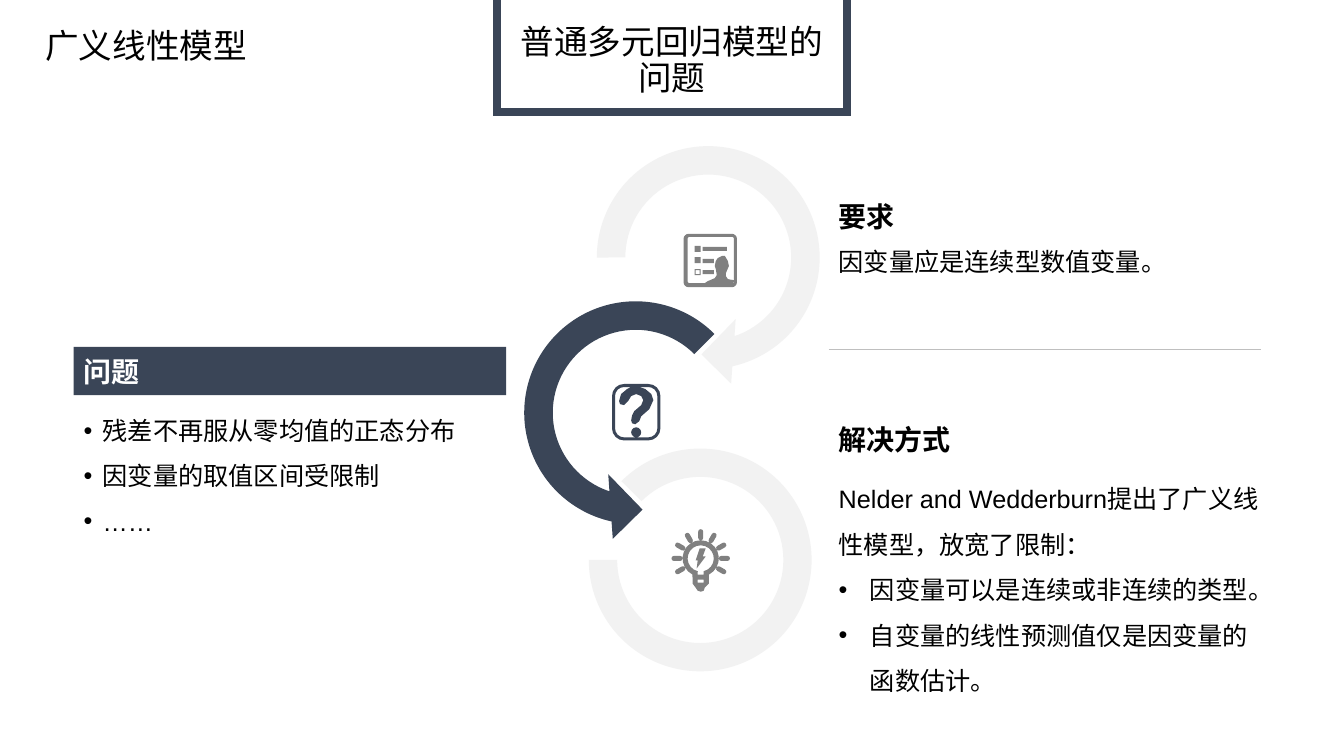
from dataclasses import dataclass
from math import cos, radians, sin
from typing import Any, Optional

from lxml.etree import SubElement
from pptx import Presentation
from pptx.dml.color import RGBColor
from pptx.enum.shapes import MSO_CONNECTOR, MSO_SHAPE
from pptx.enum.text import MSO_ANCHOR, PP_ALIGN
from pptx.oxml.ns import qn
from pptx.util import Inches, Pt

NAVY, GRAY, PALE, WHITE, BLACK, RULE = "3A4557", "808080", "F2F2F2", "FFFFFF", "000000", "BFBFBF"
CHINESE_FONT = "Noto Sans CJK SC"
HEADING_HEIGHT = 0.48
BODY_HEIGHT = 0.83
UNITS_PER_INCH = 1000

Contour = tuple[tuple[float, float], ...]


@dataclass(frozen=True)
class Line:
    text: str
    indent: float = 0
    spacing: float = 1.0


@dataclass(frozen=True)
class Section:
    left: float
    top: float
    width: float
    heading: str
    lines: tuple[Line, ...]
    banner: Optional[str] = None
    heading_color: str = BLACK


@dataclass(frozen=True)
class Title:
    text: str
    font: str
    box: tuple[float, float, float, float]


@dataclass(frozen=True)
class Part:
    kind: MSO_SHAPE
    box: tuple[float, float, float, float]
    fill: Optional[str] = None
    outline: Optional[str] = None
    weight: float = 0
    adjustments: tuple[float, ...] = ()
    mirrored: bool = False


@dataclass(frozen=True)
class Icon:
    fill: str
    contours: tuple[Contour, ...]


def arc(center_x: float, center_y: float, radius: float, start: float, end: float, steps: int) -> Contour:
    angles = (radians(start + (end - start) * step / steps) for step in range(steps + 1))
    return tuple((center_x + radius * cos(angle), center_y - radius * sin(angle)) for angle in angles)


def box_contour(left: float, top: float, width: float, height: float, radius: float = 0) -> Contour:
    near_x, far_x = left + radius, left + width - radius
    near_y, far_y = top + radius, top + height - radius
    corners = ((far_x, near_y, 90), (far_x, far_y, 0), (near_x, far_y, -90), (near_x, near_y, 180))
    return tuple(point for x, y, start in corners
                 for point in arc(x, y, radius, start, start - 90, 4)[::1 if radius else 5])


def bulb_ray(angle: int) -> Contour:
    ends = ((0.265, angle - 90), (0.205, angle + 90))
    return tuple(point for distance, start in ends for point in arc(
        6.95 + distance * cos(radians(angle)), 5.54 - distance * sin(radians(angle)),
        0.025, start, start + 180, 4))


SECTIONS = (
    Section(8.22, 1.91, 4.38, "要求", (Line("因变量应是连续型数值变量。"),)),
    Section(8.22, 4.12, 4.38, "解决方式", (
        Line("Nelder and Wedderburn提出了广义线性模型，放宽了限制：", 0, 1.5),
        Line("因变量可以是连续或非连续的类型。", 0.31, 1.5),
        Line("自变量的线性预测值仅是因变量的函数估计。", 0.31, 1.5),
    )),
    Section(0.73, 3.44, 4.29, "问题", tuple(
        Line(text, 0.19, 1.5)
        for text in ("残差不再服从零均值的正态分布", "因变量的取值区间受限制", "……")
    ), NAVY, WHITE),
)

TITLES = (
    Title("普通多元回归模型的问题", "Montserrat", (4.98, 0.33, 3.37, 0.69)),
    Title("广义线性模型", CHINESE_FONT, (0.18, 0.01, 2.54, 0.69)),
)

ARROWS = (
    Part(MSO_SHAPE.CIRCULAR_ARROW, (5.74, 1.27, 2.57, 2.57), PALE,
         adjustments=(0.11, 11.42, 45, 108, 0.125)),
    Part(MSO_SHAPE.LEFT_CIRCULAR_ARROW, (5.02, 2.81, 2.57, 2.57), NAVY,
         adjustments=(0.11, 11.42, 63, 189, 0.125)),
    Part(MSO_SHAPE.BLOCK_ARC, (5.84, 4.45, 2.21, 2.21), PALE,
         adjustments=(0, 189, 0.127), mirrored=True),
)

CARD = Icon(GRAY, (
    box_contour(6.78, 2.32, 0.53, 0.53, 0.05),
    box_contour(6.82, 2.35, 0.46, 0.46, 0.02),
    *(box_contour(6.89, top, 0.06, 0.06) for top in (2.44, 2.55, 2.67)),
    box_contour(6.9, 2.68, 0.04, 0.04),
    *(box_contour(6.97, top, width, 0.04) for top, width in ((2.45, 0.24), (2.57, 0.11), (2.68, 0.11))),
    ((6.99, 2.81), (7.02, 2.79), (7.09, 2.76), (7.11, 2.73), (7.1, 2.67), (7.09, 2.64),
     (7.1, 2.59), (7.12, 2.56), (7.16, 2.54), (7.19, 2.54), (7.22, 2.59), (7.23, 2.64),
     (7.2, 2.71), (7.2, 2.74), (7.22, 2.77), (7.28, 2.78), (7.28, 2.81)),
))

QUESTION = Icon(NAVY, (
    box_contour(6.07, 3.81, 0.48, 0.56, 0.12),
    box_contour(6.1, 3.84, 0.42, 0.5, 0.09),
    ((6.31, 3.84), (6.26, 3.84), (6.22, 3.86), (6.16, 3.91), (6.14, 3.98), (6.15, 4.01),
     (6.19, 4.02), (6.23, 3.98), (6.26, 3.93), (6.31, 3.91), (6.36, 3.93), (6.38, 3.97),
     (6.36, 4.02), (6.29, 4.08), (6.27, 4.12), (6.26, 4.17), (6.27, 4.2), (6.3, 4.21),
     (6.34, 4.18), (6.36, 4.13), (6.44, 4.06), (6.48, 3.97), (6.46, 3.91), (6.4, 3.86),
     (6.34, 3.84)),
    arc(6.31, 4.29, 0.05, 0, 360, 12),
))

BULB = Icon(GRAY, (
    (*arc(6.95, 5.54, 0.18, -63, 243, 18), (6.87, 5.79), (6.9, 5.83), (6.92, 5.86),
     (6.95, 5.87), (6.98, 5.86), (6.99, 5.83), (7.03, 5.79)),
    (*arc(6.95, 5.54, 0.13, -77, 257, 18), (6.92, 5.7), (6.98, 5.7)),
    box_contour(6.92, 5.75, 0.06, 0.03),
    ((6.94, 5.44), (7, 5.44), (6.97, 5.52), (7, 5.52), (6.91, 5.64), (6.92, 5.56), (6.9, 5.56)),
    *(bulb_ray(angle) for angle in range(-30, 211, 30)),
))

TITLE_FRAME = Part(MSO_SHAPE.RECTANGLE, (4.93, -0.6, 3.47, 1.71), None, NAVY, 5.5)


def color(value: str) -> RGBColor:
    return RGBColor.from_string(value)


def apply_format(target: Any, values: dict[str, Any]) -> None:
    for name, value in values.items():
        setattr(target, name, value)


def paint(shape: Any, fill: Optional[str], outline: Optional[str] = None, weight: float = 0) -> None:
    shape.shadow.inherit = False
    for target, value in ((shape.fill, fill), (shape.line.fill, outline)):
        if value:
            target.solid()
            target.fore_color.rgb = color(value)
        else:
            target.background()
    if outline:
        shape.line.width = Pt(weight)
        SubElement(shape.element.spPr.find(qn("a:ln")), qn("a:miter")).set("lim", "800000")


def draw_part(slide: Any, part: Part) -> Any:
    shape = slide.shapes.add_shape(part.kind, *map(Inches, part.box))
    for index, value in enumerate(part.adjustments):
        shape.adjustments[index] = value
    if part.mirrored:
        shape.element.spPr.find(qn("a:xfrm")).set("flipH", "1")
    paint(shape, part.fill, part.outline, part.weight)
    return shape


def draw_icon(slide: Any, icon: Icon) -> None:
    first, *others = [[(x * UNITS_PER_INCH, y * UNITS_PER_INCH) for x, y in contour]
                      for contour in icon.contours]
    builder = slide.shapes.build_freeform(*first[0], scale=Inches(1) / UNITS_PER_INCH)
    builder.add_line_segments(first[1:])
    for contour in others:
        builder.move_to(*contour[0])
        builder.add_line_segments(contour[1:])
    paint(builder.convert_to_shape(), icon.fill)


def write(shape: Any, lines: tuple[Line, ...], size: float, text_color: str = BLACK,
          font: str = "Arial", bold: bool = False, anchor: MSO_ANCHOR = MSO_ANCHOR.TOP,
          alignment: PP_ALIGN = PP_ALIGN.LEFT) -> None:
    frame = shape.text_frame
    apply_format(frame, {"word_wrap": True, "vertical_anchor": anchor})
    for index, line in enumerate(lines):
        paragraph = frame.add_paragraph() if index else frame.paragraphs[0]
        apply_format(paragraph, {"alignment": alignment, "line_spacing": line.spacing})
        if line.indent:
            properties = paragraph._p.get_or_add_pPr()
            properties.set("marL", str(Inches(line.indent)))
            properties.set("indent", str(-Inches(line.indent)))
            SubElement(properties, qn("a:buFont")).set("typeface", "Arial")
            SubElement(properties, qn("a:buChar")).set("char", "•")
        run = paragraph.add_run()
        run.text = line.text
        apply_format(run.font, {"name": font, "size": Pt(size), "bold": bold})
        run.font.color.rgb = color(text_color)
        SubElement(run.font._element, qn("a:ea")).set("typeface", CHINESE_FONT)


def draw_section(slide: Any, section: Section) -> None:
    box = (section.left, section.top, section.width, HEADING_HEIGHT)
    if section.banner:
        heading = draw_part(slide, Part(MSO_SHAPE.RECTANGLE, box, section.banner))
    else:
        heading = slide.shapes.add_textbox(*map(Inches, box))
    write(heading, (Line(section.heading),), 20, section.heading_color, bold=True,
          anchor=MSO_ANCHOR.MIDDLE)
    body_box = (section.left, section.top + HEADING_HEIGHT, section.width, BODY_HEIGHT)
    write(slide.shapes.add_textbox(*map(Inches, body_box)), section.lines, 18)


def draw_divider(slide: Any) -> None:
    divider = slide.shapes.add_connector(MSO_CONNECTOR.STRAIGHT, *map(Inches, (8.22, 3.46, 12.51, 3.46)))
    divider.line.color.rgb = color(RULE)
    divider.line.width = Pt(0.25)
    SubElement(divider._element.spPr, qn("a:effectLst"))


def main() -> None:
    presentation = Presentation()
    apply_format(presentation, {"slide_width": Inches(13.33), "slide_height": Inches(7.5)})
    slide = presentation.slides.add_slide(presentation.slide_layouts[6])
    for section in SECTIONS:
        draw_section(slide, section)
    draw_divider(slide)
    for arrow in ARROWS:
        draw_part(slide, arrow)
    for icon in (CARD, QUESTION, BULB):
        draw_icon(slide, icon)
    draw_part(slide, TITLE_FRAME)
    for title in TITLES:
        write(slide.shapes.add_textbox(*map(Inches, title.box)), (Line(title.text, spacing=0.9),),
              24, font=title.font, anchor=MSO_ANCHOR.BOTTOM, alignment=PP_ALIGN.CENTER)
    presentation.save("out.pptx")


if __name__ == "__main__":
    main()
